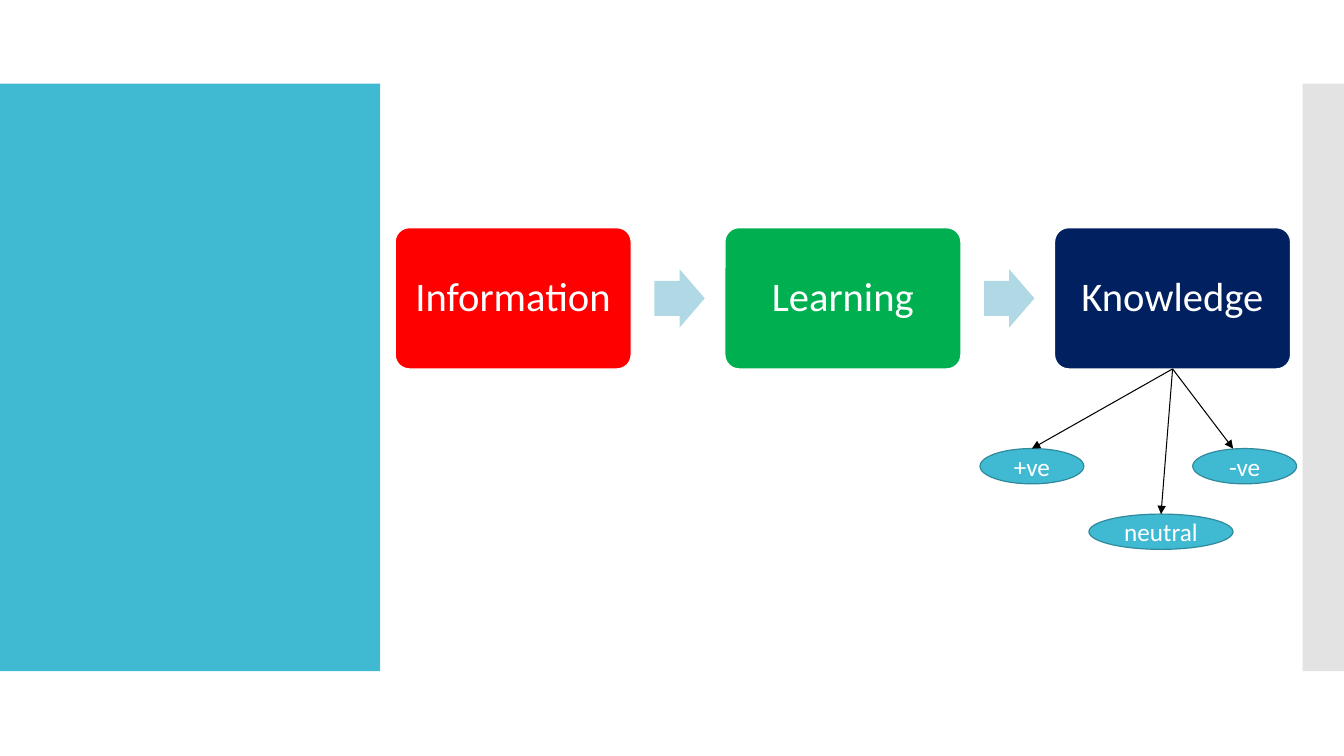
from lxml import etree
from pptx import Presentation
from pptx.dml.color import RGBColor
from pptx.enum.shapes import MSO_CONNECTOR, MSO_SHAPE
from pptx.enum.text import MSO_ANCHOR, PP_ALIGN
from pptx.oxml.ns import qn
from pptx.util import Inches, Pt

RECT = MSO_SHAPE.RECTANGLE
ROUNDED = MSO_SHAPE.ROUNDED_RECTANGLE
ARROW = MSO_SHAPE.RIGHT_ARROW
OVAL = MSO_SHAPE.OVAL
STRAIGHT = MSO_CONNECTOR.STRAIGHT
TOP, BOTTOM = 0, 2


def rgb(hex_color):
    return RGBColor.from_string(hex_color)


def write(sp, text, size, spacing=1.0, inset=None):
    """Put one centred white line of text in a shape."""
    tf = sp.text_frame
    tf.word_wrap = True
    tf.vertical_anchor = MSO_ANCHOR.MIDDLE
    if inset is not None:
        tf.margin_left = tf.margin_right = Inches(inset)
        tf.margin_top = tf.margin_bottom = Inches(inset)
    p = tf.paragraphs[0]
    p.alignment = PP_ALIGN.CENTER
    p.line_spacing = spacing
    r = p.add_run()
    r.text = text
    r.font.name = "Calibri"
    r.font.size = Pt(size)
    r.font.color.rgb = rgb("FFFFFF")


class FlowSlide:
    """Style and drawing methods for the current slide."""

    ACCENT = "40BAD2"
    OVAL_LINE = "2F8A9B"
    ARROW_FILL = "B0D9E5"

    def __init__(self, prs):
        self.s = prs.slides.add_slide(prs.slide_layouts[6])

    def shape(self, kind, x, y, w, h, fill, line=None, adj=()):
        sp = self.s.shapes.add_shape(kind, Inches(x), Inches(y), Inches(w), Inches(h))
        sp.shadow.inherit = False
        sp.fill.solid()
        sp.fill.fore_color.rgb = rgb(fill)
        if line:
            sp.line.color.rgb = rgb(line)
            sp.line.width = Pt(0.85)
        else:
            sp.line.fill.background()
        for i, value in enumerate(adj):
            sp.adjustments[i] = value
        return sp

    def band(self, x, w, fill, alpha=100):
        sp = self.shape(RECT, x, 0.83, w, 5.83, fill)
        if alpha < 100:
            color = sp.fill._xPr.find(".//" + qn("a:srgbClr"))
            etree.SubElement(color, qn("a:alpha"), val=str(alpha * 1000))

    def stage(self, x, text, fill):
        sp = self.shape(ROUNDED, x, 2.26, 2.34, 1.4, fill, "FFFFFF", [0.1])
        write(sp, text, 29, spacing=0.9, inset=0.12)
        return sp

    def step_arrow(self, x):
        self.shape(ARROW, x, 2.67, 0.5, 0.58, self.ARROW_FILL, adj=[0.6, 0.5])

    def outcome(self, x, y, w, text):
        sp = self.shape(OVAL, x, y, w, 0.35, self.ACCENT, self.OVAL_LINE)
        write(sp, text, 18)
        return sp

    def branch(self, source, end_x, end_y, target=None):
        """Draw an arrow from the bottom of source, joined to target if given."""
        c = self.s.shapes.add_connector(
            STRAIGHT, Inches(11.62), Inches(3.66), Inches(end_x), Inches(end_y))
        c.begin_connect(source, BOTTOM)
        if target is not None:
            c.end_connect(target, TOP)
        c.line.color.rgb = rgb("000000")
        c.line.width = Pt(0.75)
        etree.SubElement(c.line._get_or_add_ln(), qn("a:tailEnd"), type="triangle")
        etree.SubElement(c._element.spPr, qn("a:effectLst"))


def main():
    prs = Presentation()
    prs.slide_width, prs.slide_height = Inches(13.33), Inches(7.5)
    slide = FlowSlide(prs)

    slide.band(0, 3.77, slide.ACCENT)
    slide.band(12.92, 0.41, "C8C8C8", alpha=50)

    stages = [("Information", "FF0000"), ("Learning", "00B050"), ("Knowledge", "002060")]
    left, pitch = 3.92, 3.27
    for i, (text, fill) in enumerate(stages):
        x = left + i * pitch
        knowledge = slide.stage(x, text, fill)
        if i < len(stages) - 1:
            slide.step_arrow(x + 2.57)

    positive = slide.outcome(9.72, 4.45, 1.03, "+ve")
    slide.outcome(11.83, 4.45, 1.03, "-ve")
    neutral = slide.outcome(10.8, 5.1, 1.43, "neutral")

    slide.branch(knowledge, 10.24, 4.45, positive)
    slide.branch(knowledge, 11.52, 5.1, neutral)
    slide.branch(knowledge, 12.23, 4.45)

    prs.save("out.pptx")


if __name__ == "__main__":
    main()
